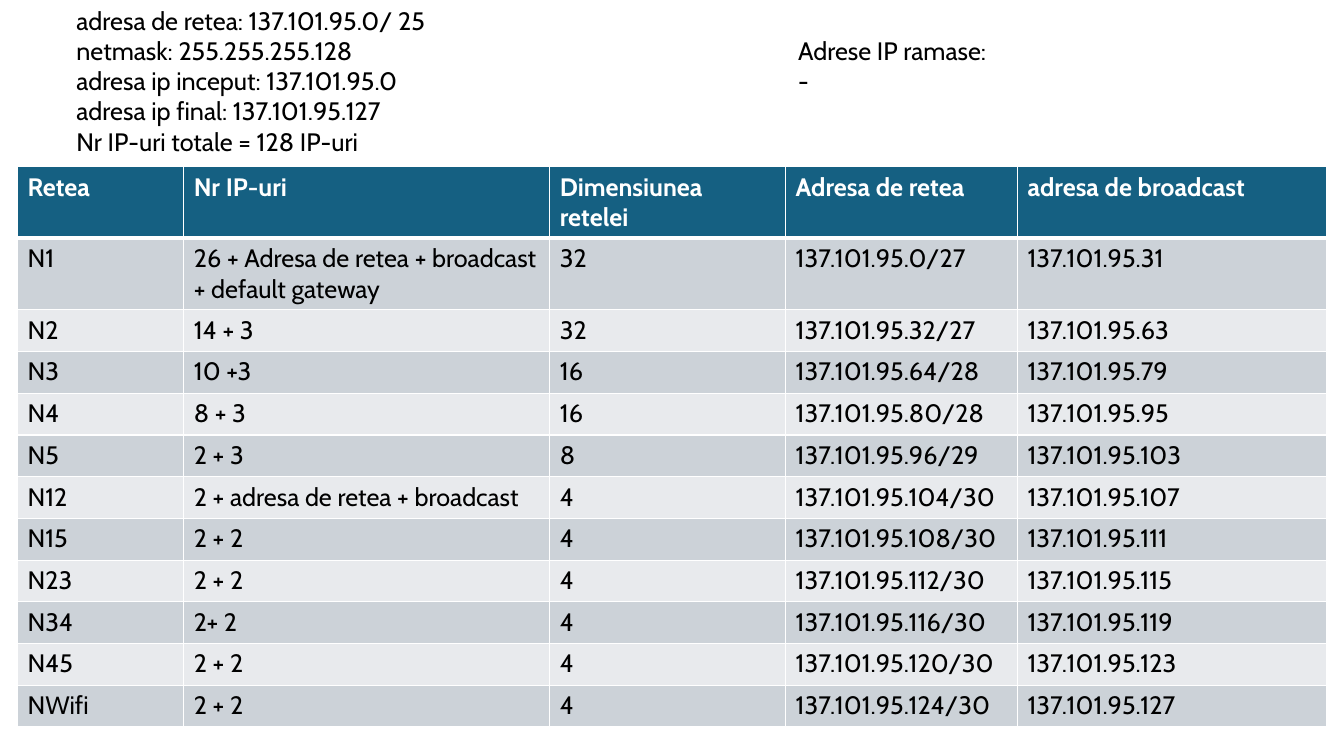
from lxml import etree
from pptx import Presentation
from pptx.dml.color import RGBColor
from pptx.enum.text import MSO_ANCHOR
from pptx.oxml.ns import qn
from pptx.util import Pt

TOP = MSO_ANCHOR.TOP
FONT = "Cabin"
BLACK, WHITE = "000000", "FFFFFF"
HEADER_FILL = "156082"
BAND_FILLS = ("CCD2D8", "E8EAED")

NETWORK_FACTS = (
    "adresa de retea: 137.101.95.0/ 25",
    "netmask: 255.255.255.128",
    "adresa ip inceput: 137.101.95.0",
    "adresa ip final: 137.101.95.127",
    "Nr IP-uri totale = 128 IP-uri",
)
REMAINING_ADDRESSES = ("Adrese IP ramase:", "-")

COLUMN_WIDTHS = (118.8, 261.4, 168.5, 165.6, 221)
HEADINGS = ("Retea", "Nr IP-uri", "Dimensiunea retelei", "Adresa de retea",
            "adresa de broadcast")
SUBNETS = (
    ("N1", "26 + Adresa de retea + broadcast + default gateway", "32",
     "137.101.95.0/27", "137.101.95.31"),
    ("N2", "14 + 3", "32", "137.101.95.32/27", "137.101.95.63"),
    ("N3", "10 +3", "16", "137.101.95.64/28", "137.101.95.79"),
    ("N4", "8 + 3", "16", "137.101.95.80/28", "137.101.95.95"),
    ("N5", "2 + 3", "8", "137.101.95.96/29", "137.101.95.103"),
    ("N12", "2 + adresa de retea + broadcast", "4", "137.101.95.104/30", "137.101.95.107"),
    ("N15", "2 + 2", "4", "137.101.95.108/30", "137.101.95.111"),
    ("N23", "2 + 2", "4", "137.101.95.112/30", "137.101.95.115"),
    ("N34", "2+ 2", "4", "137.101.95.116/30", "137.101.95.119"),
    ("N45", "2 + 2", "4", "137.101.95.120/30", "137.101.95.123"),
    ("NWifi", "2 + 2", "4", "137.101.95.124/30", "137.101.95.127"),
)
TALL_ROW, SHORT_ROW = 51, 29.8  # two-line and one-line rows


def color(hex_value):
    return RGBColor.from_string(hex_value)


def style_paragraph(para, hex_color, bold=False):
    para.font.name = FONT
    para.font.size = Pt(18)
    para.font.bold = bold
    para.font.color.rgb = color(hex_color)


def add_text_lines(page, box, lines):
    """Place one paragraph per line in a text box."""
    frame = page.shapes.add_textbox(*map(Pt, box)).text_frame
    frame.word_wrap = True
    frame.vertical_anchor = TOP
    frame.text = "\n".join(lines)
    for para in frame.paragraphs:
        style_paragraph(para, BLACK)


def add_borders(cell, widths):
    """Draw white cell borders; widths maps side tags to points."""
    properties = cell._tc.get_or_add_tcPr()
    for side, width in widths.items():
        line = etree.SubElement(properties, qn(f"a:{side}"), w=str(Pt(width)))
        fill = etree.SubElement(line, qn("a:solidFill"))
        etree.SubElement(fill, qn("a:srgbClr"), val=WHITE)


def add_subnet_table(page, box):
    """Place the banded subnet table, its header row first."""
    rows = (HEADINGS, *SUBNETS)
    table = page.shapes.add_table(len(rows), len(HEADINGS), *map(Pt, box)).table
    for column, width in zip(table.columns, COLUMN_WIDTHS):
        column.width = Pt(width)

    for row_index, values in enumerate(rows):
        is_header = row_index == 0
        table.rows[row_index].height = Pt(TALL_ROW if row_index < 2 else SHORT_ROW)
        fill = HEADER_FILL if is_header else BAND_FILLS[(row_index - 1) % 2]
        top, bottom = (3 if row_index == 1 else 1), (3 if is_header else 1)
        for column_index, value in enumerate(values):
            cell = table.cell(row_index, column_index)
            cell.text = value
            style_paragraph(cell.text_frame.paragraphs[0],
                            WHITE if is_header else BLACK, is_header)
            add_borders(cell, {"lnL": 1, "lnR": 1, "lnT": top, "lnB": bottom})
            cell.fill.solid()
            cell.fill.fore_color.rgb = color(fill)


def main():
    deck = Presentation()
    deck.slide_width, deck.slide_height = Pt(960), Pt(540)
    page = deck.slides.add_slide(deck.slide_layouts[6])

    # Subnet plan
    add_subnet_table(page, (12.5, 119, sum(COLUMN_WIDTHS), 400))
    # Address block summary
    add_text_lines(page, (47.5, 0, 479.5, 138), NETWORK_FACTS)
    # Unused addresses
    add_text_lines(page, (563, 21.6, 396, 72.7), REMAINING_ADDRESSES)

    deck.save("out.pptx")


if __name__ == "__main__":
    main()
